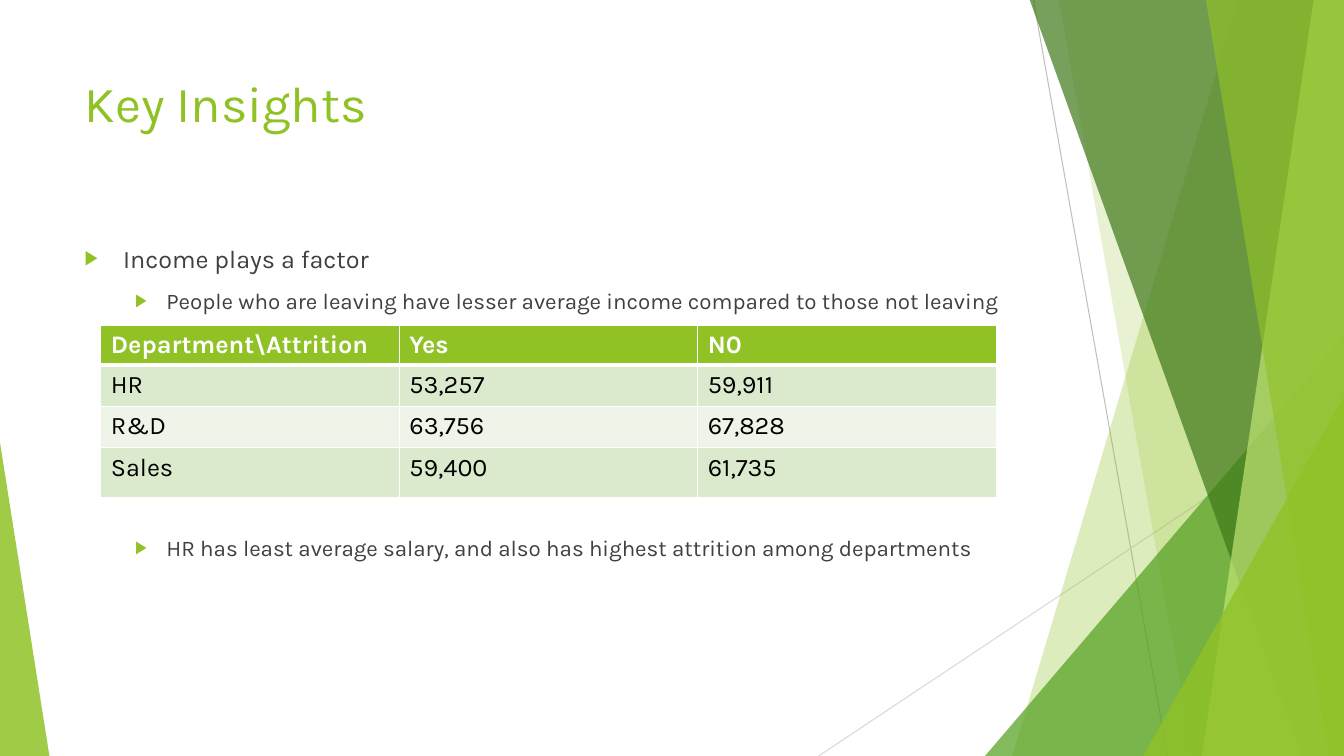
from pptx import Presentation
from pptx.dml.color import RGBColor
from pptx.enum.shapes import MSO_CONNECTOR as Link, MSO_SHAPE as Shape
from pptx.enum.text import MSO_ANCHOR as Anchor, MSO_AUTO_SIZE as Fit, PP_ALIGN as Align
from pptx.oxml.ns import qn
from pptx.util import Pt
from lxml.etree import SubElement as Sub

PX = 9144
WIDE, HIGH = 1333, 750
LIME, WHITE, FACE = "90C226", "FFFFFF", "Karla"


def paint(fill, code):
    fill.solid()
    fill.fore_color.rgb = RGBColor.from_string(code)


def style(para, size, code, bold=False):
    for run in para.runs:
        run.font.name = FACE
        run.font.size = Pt(size)
        run.font.bold = bold
        paint(run.font.fill, code)


deck = Presentation()
deck.slide_width, deck.slide_height = WIDE * PX, HIGH * PX
slide = deck.slides.add_slide(deck.slide_layouts[1])
shapes = slide.shapes
title, body = slide.placeholders

for x1, y1, x2, y2, code in [
    (1025, 0, 1158, HIGH, "BFBFBF"),
    (WIDE, 403, 812, HIGH, "D9D9D9"),
]:
    line = shapes.add_connector(Link.STRAIGHT, x1 * PX, y1 * PX, x2 * PX, y2 * PX)
    line.line.width = Pt(0.75)
    paint(line.line.fill, code)
    Sub(line._element.spPr, qn("a:effectLst"))

# strip: top x, foot x; wedge: foot x, side x, top y
for kind, spots, code, alpha in [
    ("strip", (1228, 1004), LIME, 30),
    ("strip", (1050, 1183), LIME, 20),
    ("wedge", (977, WIDE, 333), "54A021", 72),
    ("strip", (1021, 1291), "3F7819", 70),
    ("strip", (1303, 1192), "C0E474", 70),
    ("strip", (1196, 1318), LIME, 65),
    ("wedge", (1134, WIDE, 393), LIME, 80),
    ("wedge", (49, 0, 439), LIME, 85),
]:
    if kind == "strip":
        head, foot = spots
        pen = shapes.build_freeform(head, -1, scale=PX)
        pen.add_line_segments([(WIDE, -1), (WIDE, HIGH), (foot, HIGH)], close=True)
        facet = pen.convert_to_shape()
    else:
        foot, side, top = spots
        facet = shapes.add_shape(
            Shape.ISOSCELES_TRIANGLE, min(foot, side) * PX, top * PX,
            abs(side - foot) * PX, (HIGH - top) * PX)
        facet.adjustments[0] = 1 if side > foot else 0
    facet.shadow.inherit = False
    facet.line.fill.background()
    paint(facet.fill, code)
    tint = facet._element.spPr.find(qn("a:solidFill"))[0]
    Sub(tint, qn("a:alpha"), val=str(alpha * 1000))

for box, top, tall in [(title, 67, 144), (body, 236, 424)]:
    box.left, box.top, box.width, box.height = 74 * PX, top * PX, 940 * PX, tall * PX
    shapes._spTree.append(box._element)
    frame = box.text_frame
    frame.word_wrap = True
    frame.auto_size = Fit.NONE
    frame.vertical_anchor = Anchor.TOP

title.text_frame.text = "Key Insights"
para = title.text_frame.paragraphs[0]
para.alignment = Align.LEFT
style(para, 36, LIME)

notes = [
    ("Income plays a factor", 0, 18, 10),
    ("People who are leaving have lesser average income compared to those not leaving", 1, 16, 10),
    ("HR has least average salary, and also has highest attrition among departments", 1, 16, 157),
]
body.text_frame.text = "\n".join(note[0] for note in notes)
for para, (_, level, size, gap) in zip(body.text_frame.paragraphs, notes):
    para.level = level
    para.space_before = Pt(gap)
    para.space_after = Pt(0)
    style(para, size, "404040")
    props = para._p.get_or_add_pPr()
    left, hang = [(38, 38), (81, 31)][level]
    props.set("marL", str(left * PX))
    props.set("indent", str(-hang * PX))
    Sub(Sub(props, qn("a:buClr")), qn("a:srgbClr"), val=LIME)
    Sub(props, qn("a:buSzPct"), val="80000")
    Sub(props, qn("a:buFont"), typeface="Arial")
    Sub(props, qn("a:buChar"), char="▶")

data = [
    ("Department\\Attrition", "Yes", "N0"),
    ("HR", "53,257", "59,911"),
    ("R&D", "63,756", "67,828"),
    ("Sales", "59,400", "61,735"),
]
table = shapes.add_table(4, 3, 100 * PX, 323 * PX, 888 * PX, 165 * PX).table
for col in table.columns:
    col.width = 296 * PX
for row, tall in zip(table.rows, [34, 41, 41, 49]):
    row.height = tall * PX
for r, words in enumerate(data):
    for c, word in enumerate(words):
        cell = table.cell(r, c)
        cell.text = word
        style(cell.text_frame.paragraphs[0], 18, "000000" if r else WHITE, r == 0)
        props = cell._tc.get_or_add_tcPr()
        for side in "LRTB":
            thick = 3 if (r, side) in [(0, "B"), (1, "T")] else 1
            edge = Sub(props, qn("a:ln" + side), w=str(Pt(thick)))
            Sub(Sub(edge, qn("a:solidFill")), qn("a:srgbClr"), val=WHITE)
        paint(cell.fill, [LIME, "DBE9CD", "EEF4E8", "DBE9CD"][r])

deck.save("out.pptx")
